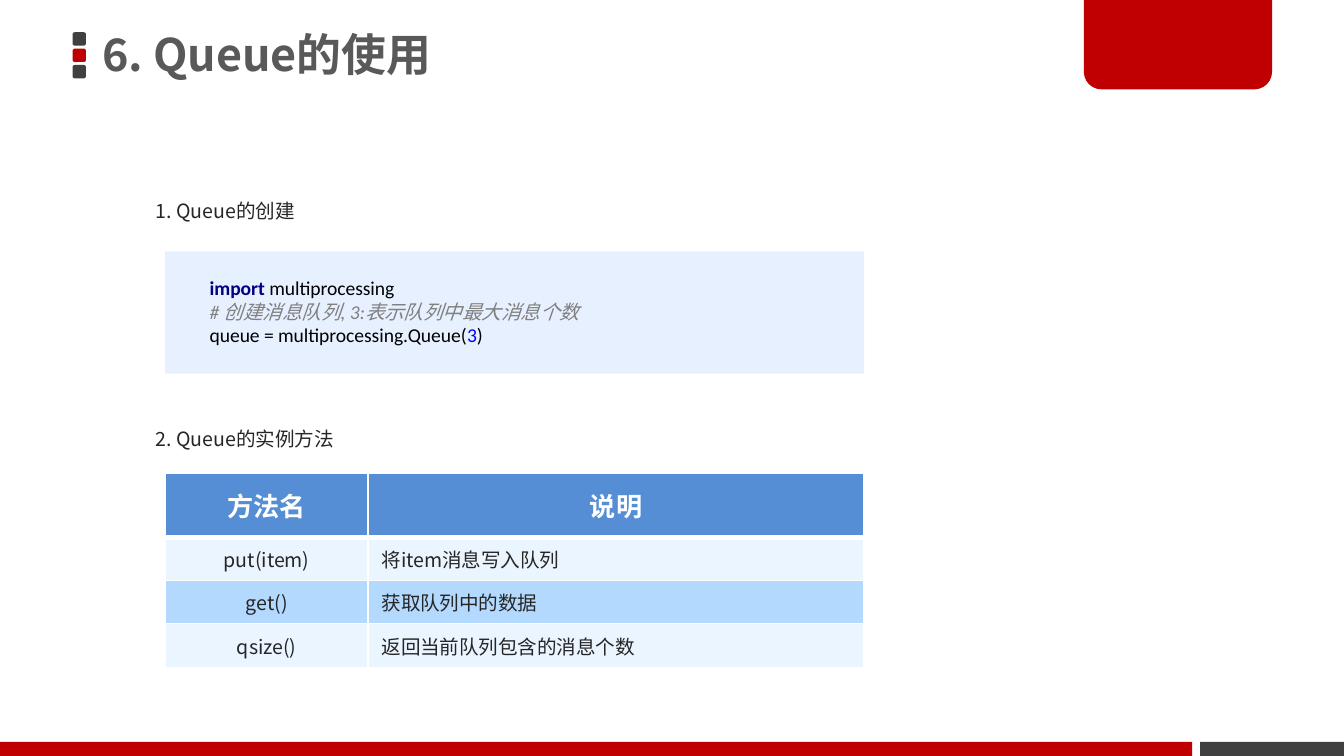
from lxml import etree
from pptx import Presentation
from pptx.dml.color import RGBColor
from pptx.enum.shapes import MSO_SHAPE
from pptx.enum.text import MSO_ANCHOR, PP_ALIGN
from pptx.oxml.ns import qn
from pptx.util import Inches, Pt

RECTANGLE = MSO_SHAPE.RECTANGLE
ROUNDED = MSO_SHAPE.ROUNDED_RECTANGLE
BOTTOM_ROUNDED = MSO_SHAPE.ROUND_2_SAME_RECTANGLE
MIDDLE, TOP = MSO_ANCHOR.MIDDLE, MSO_ANCHOR.TOP
LEFT, CENTER = PP_ALIGN.LEFT, PP_ALIGN.CENTER

WIDTH = 10
HEIGHT = WIDTH * 9 / 16
COLUMNS = 100
ROWS = COLUMNS * 9 / 16
SANS, CODE = "Noto Sans CJK SC", "Calibri"
COLORS = {
    "red": "C00000", "dark": "404040", "title": "595959", "text": "262626",
    "white": "FFFFFF", "header": "558ED5", "light": "EBF5FF", "band": "B3D9FF",
    "panel": "E6F0FF", "keyword": "000080", "code": "000000",
    "comment": "808080", "number": "0000FF",
}
METHODS = [
    ("方法名", "说明"),
    ("put(item)", "将item消息写入队列"),
    ("get()", "获取队列中的数据"),
    ("qsize()", "返回当前队列包含的消息个数"),
]
CODE_LINES = [
    [("import ", "keyword", True, False), ("multiprocessing", "code", False, False)],
    [("# 创建消息队列, 3:表示队列中最大消息个数", "comment", False, True)],
    [("queue = multiprocessing.Queue(", "code", False, False),
     ("3", "number", False, False), (")", "code", False, False)],
]


class SlideBuilder:
    """Draws styled elements on one slide, placed by grid columns and rows."""

    def __init__(self, slide):
        self.slide = slide

    def across(self, columns):
        return Inches(columns * WIDTH / COLUMNS)

    def down(self, rows):
        return Inches(rows * HEIGHT / ROWS)

    def box(self, left, top, width, height):
        return self.across(left), self.down(top), self.across(width), self.down(height)

    def color(self, name):
        return RGBColor.from_string(COLORS[name])

    def format_run(self, run, size, color, bold=False, italic=False, font=SANS):
        run.font.name, run.font.size = font, Pt(size)
        run.font.bold, run.font.italic = bold, italic
        run.font.color.rgb = self.color(color)
        east_asian = etree.SubElement(run.font._element, qn("a:ea"))
        east_asian.set("typeface", SANS)

    def shape(self, kind, place, color, adjustments=()):
        shape = self.slide.shapes.add_shape(kind, *self.box(*place))
        shape.shadow.inherit = False
        shape.fill.solid()
        shape.fill.fore_color.rgb = self.color(color)
        shape.line.fill.background()
        for index, value in enumerate(adjustments):
            shape.adjustments[index] = value

    def text_box(self, place):
        text_frame = self.slide.shapes.add_textbox(*self.box(*place)).text_frame
        text_frame.word_wrap = True
        return text_frame

    def heading(self, text, place):
        text_frame = self.text_box(place)
        text_frame.text = text
        self.format_run(text_frame.paragraphs[0].runs[0], 10.5, "text")

    def title(self, text, place):
        text_frame = self.text_box(place)
        text_frame.vertical_anchor = MIDDLE
        text_frame.margin_left = text_frame.margin_right = Inches(0.07)
        text_frame.margin_top = text_frame.margin_bottom = Inches(0.04)
        text_frame.text = text
        paragraph = text_frame.paragraphs[0]
        paragraph.line_spacing = 0.9
        self.format_run(paragraph.runs[0], 24, "title", bold=True)

    def code(self, lines, place):
        paragraph = self.text_box(place).paragraphs[0]
        for index, line in enumerate(lines):
            if index:
                paragraph.add_line_break()
            for text, color, bold, italic in line:
                run = paragraph.add_run()
                run.text = text
                self.format_run(run, 10.5, color, bold, italic, CODE)

    def borders(self, cell, widths):
        properties = cell._tc.get_or_add_tcPr()
        for index, (side, width) in enumerate(zip("LRTB", widths)):
            line = etree.Element(qn(f"a:ln{side}"), w=str(Pt(width)))
            fill = etree.SubElement(line, qn("a:solidFill"))
            etree.SubElement(fill, qn("a:srgbClr"), val=COLORS["white"])
            properties.insert(index, line)

    def cell(self, cell, text, row, column):
        is_header = row == 0
        cell.fill.solid()
        fill = "header" if is_header else "light" if row % 2 else "band"
        cell.fill.fore_color.rgb = self.color(fill)
        self.borders(cell, (1, 1, 3 if row == 1 else 1, 3 if is_header else 1))
        cell.vertical_anchor = TOP if is_header else MIDDLE
        cell.text_frame.text = text
        paragraph = cell.text_frame.paragraphs[0]
        paragraph.alignment = CENTER if is_header or column == 0 else LEFT
        if is_header:
            paragraph.line_spacing = Pt(24)
            self.format_run(paragraph.runs[0], 14, "white", bold=True)
        else:
            self.format_run(paragraph.runs[0], 10.5, "text")

    def table(self, data, place, widths, heights):
        table = self.slide.shapes.add_table(
            len(data), len(widths), *self.box(*place)).table
        for column, width in zip(table.columns, widths):
            column.width = self.across(width)
        for row, height in zip(table.rows, heights):
            row.height = self.down(height)
        for row, texts in enumerate(data):
            for column, text in enumerate(texts):
                self.cell(table.cell(row, column), text, row, column)


def main():
    presentation = Presentation()
    presentation.slide_width, presentation.slide_height = Inches(WIDTH), Inches(HEIGHT)
    builder = SlideBuilder(presentation.slides.add_slide(presentation.slide_layouts[6]))

    for index, color in enumerate(("dark", "red", "dark")):
        builder.shape(ROUNDED, (5.4, 2.4 + 1.22 * index, 1, 1), color, [0.167])
    builder.shape(RECTANGLE, (89.3, 55.2, 10.7, 1.05), "dark")
    builder.shape(BOTTOM_ROUNDED, (80.65, -0.2, 14, 6.85), "red", [0, 0.19])
    builder.shape(RECTANGLE, (0, 55.2, 88.7, 1.05), "red")
    builder.title("6. Queue的使用", (6.9, -0.2, 58.9, 8.9))

    builder.table(METHODS, (12.3, 35.2, 52, 14.5), (15.1, 36.9), (4.8, 3.2, 3.2, 3.3))
    builder.heading("1. Queue的创建", (10.62, 14.3, 60.6, 2.8))
    builder.heading("2. Queue的实例方法", (10.62, 31.3, 60.6, 2.8))
    builder.shape(RECTANGLE, (12.3, 18.7, 52, 9.1), "panel")
    builder.code(CODE_LINES, (14.62, 20.07, 32.3, 6.3))
    presentation.save("out.pptx")


if __name__ == "__main__":
    main()
